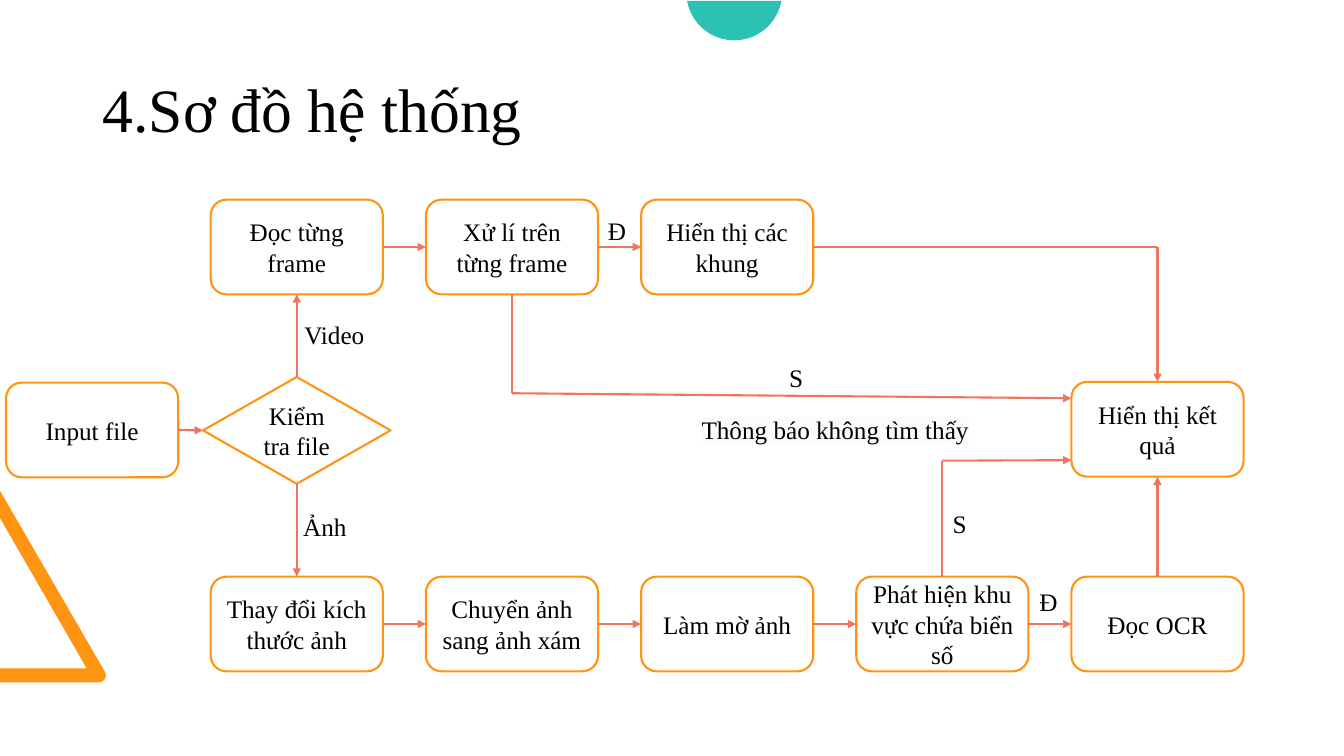
from math import asin, cos, pi, radians, sin

from lxml.etree import SubElement
from pptx import Presentation
from pptx.dml.color import RGBColor
from pptx.enum.shapes import MSO_CONNECTOR as Link, MSO_SHAPE as Kind
from pptx.enum.text import MSO_ANCHOR as Anchor, PP_ALIGN as Align
from pptx.oxml import parse_xml
from pptx.oxml.ns import nsdecls, qn
from pptx.util import Pt

FONT = "Times New Roman"
ORANGE, TEAL, CORAL = "FF9413", "2BC2B4", "EE7660"
BLACK, WHITE, PALE = "000000", "FFFFFF", "FBFBFB"
TOP, LEFT, BOTTOM, RIGHT = range(4)  # connection sites of a node
WIDE, HIGH, STEP = 123, 67.7, 153.7  # node size and column pitch


def color(code):
    return RGBColor.from_string(code)


def write(frame, text, size=18):
    frame.word_wrap = True
    frame.text = text
    font = frame.paragraphs[0].runs[0].font
    font.size, font.name = Pt(size), FONT
    font.color.rgb = color(BLACK)


def node(slide, text, box, kind=Kind.ROUNDED_RECTANGLE):
    shape = slide.shapes.add_shape(kind, *map(Pt, box))
    shape.shadow.inherit = False
    shape.fill.solid()
    shape.fill.fore_color.rgb = color(WHITE)
    shape.line.color.rgb = color(ORANGE)
    shape.line.width = Pt(1.5)
    write(shape.text_frame, text)
    shape.text_frame.vertical_anchor = Anchor.MIDDLE
    shape.text_frame.paragraphs[0].alignment = Align.CENTER
    return shape


def label(slide, text, box, size=18):
    frame = slide.shapes.add_textbox(*map(Pt, box)).text_frame
    write(frame, text, size)
    return frame


def line(slide, start=(0, 0), end=(0, 0), head=True):
    link = slide.shapes.add_connector(Link.STRAIGHT, *map(Pt, (*start, *end)))
    link.line.color.rgb = color(CORAL)
    link.line.width = Pt(1.5)
    if head:
        tail = SubElement(link.line._get_or_add_ln(), qn("a:tailEnd"))
        tail.set("type", "triangle")
    SubElement(link._element.spPr, qn("a:effectLst"))
    return link


def join(slide, first, out, second, into):
    link = line(slide)
    link.begin_connect(first, out)
    link.end_connect(second, into)


def outline(slide, points, fill):
    dots = [(Pt(x), Pt(y)) for x, y in points]
    build = slide.shapes.build_freeform(*dots[0], scale=1.0)
    build.add_line_segments(dots[1:], close=True)
    shape = build.convert_to_shape()
    shape.shadow.inherit = False
    shape.fill.solid()
    shape.fill.fore_color.rgb = color(fill)
    shape.line.fill.background()


def arc(x, y, size, start, end, count):
    turns = [start + (end - start) * i / count for i in range(count + 1)]
    return [(x + size * cos(t), y + size * sin(t)) for t in turns]


def decor(slide):
    # Triangle frame cut off by the left edge
    tip = arc(70.6, 482.4, 5, radians(-30), pi / 2, 8)
    outer = [(0, 350.6), *tip, (0, 487.4)]
    inner = [(0, 477.4), (61.9, 477.4), (0, 370.1)]
    outline(slide, outer + inner, ORANGE)
    # Disc cut off by the top edge
    mid, size, edge = -5.4, 34.2, 0.7
    turn = asin((edge - mid) / size)
    outline(slide, arc(524.5, mid, size, turn, pi - turn, 48), TEAL)


def title(slide, text, box):
    frame = label(slide, text, box, 44)
    frame.vertical_anchor = Anchor.BOTTOM
    frame.paragraphs[0].line_spacing = 0.9


def row(slide, texts, x, y):
    return [node(slide, text, (x + i * STEP, y, WIDE, HIGH))
            for i, text in enumerate(texts)]


def chart(slide, x, y):
    """Place the flow chart; x, y is the corner of its upper row."""
    mid, low = y + 130.7, y + 269.3

    # Nodes
    source = node(slide, "Input file", (x - 146.2, mid, WIDE, HIGH))
    image = row(slide, ["Thay đổi kích thước ảnh", "Chuyển ảnh sang ảnh xám",
                        "Làm mờ ảnh", "Phát hiện khu vực chứa biển số",
                        "Đọc OCR"], x, low)
    check = node(slide, "Kiểm tra file", (x - 5.5, mid - 4, 134, 76.3),
                 Kind.DIAMOND)
    video = row(slide, ["Đọc từng frame", "Xử lí trên từng frame",
                        "Hiển thị các khung"], x, y)
    result = node(slide, "Hiển thị kết quả",
                  (x + 4 * STEP, mid - 0.5, WIDE, HIGH))

    # Direct arrows
    join(slide, source, RIGHT, check, LEFT)
    join(slide, check, TOP, video[0], BOTTOM)
    join(slide, check, BOTTOM, image[0], TOP)
    for chain in (video, image):
        for first, second in zip(chain, chain[1:]):
            join(slide, first, RIGHT, second, LEFT)
    join(slide, image[-1], TOP, result, BOTTOM)

    # Arrows with a corner
    def center(col):
        return x + col * STEP + WIDE / 2

    side = x + 4 * STEP
    level = y + HIGH / 2
    bends = [
        ((x + 2 * STEP + WIDE, level), (center(4), level),
         (center(4), mid - 0.5)),
        ((center(1), y + HIGH), (center(1), mid + 7.6), (side, mid + 11.2)),
        ((center(3), low), (center(3), mid + 55.8), (side, mid + 55.4)),
    ]
    for start, corner, end in bends:
        line(slide, start, corner, head=False)
        line(slide, corner, end)

    # Labels
    for text, left, top, wide in [
            ("Ảnh", 59, 219, 94), ("Video", 59.8, 82, 94),
            ("Đ", 584.8, 273, 17.3), ("S", 522.8, 216.8, 17.3),
            ("Đ", 276.6, 8, 17.3), ("S", 406.2, 112.4, 17.3)]:
        label(slide, text, (x + left, y + top, wide, 30))
    note = label(slide, "Thông báo không tìm thấy",
                 (x + 343.5, y + 149.8, 207.4, 29))
    mark = parse_xml(f'<a:highlight {nsdecls("a")}>'
                     f'<a:srgbClr val="{PALE}"/></a:highlight>')
    props = note.paragraphs[0].runs[0].font._element
    props.find(qn("a:solidFill")).addnext(mark)


def main():
    deck = Presentation()
    deck.slide_width, deck.slide_height = Pt(960), Pt(540)
    slide = deck.slides.add_slide(deck.slide_layouts[6])
    decor(slide)
    title(slide, "4.Sơ đồ hệ thống", (66.2, 49, 334.8, 59))
    chart(slide, 150.5, 142.6)
    deck.save("out.pptx")


if __name__ == "__main__":
    main()
